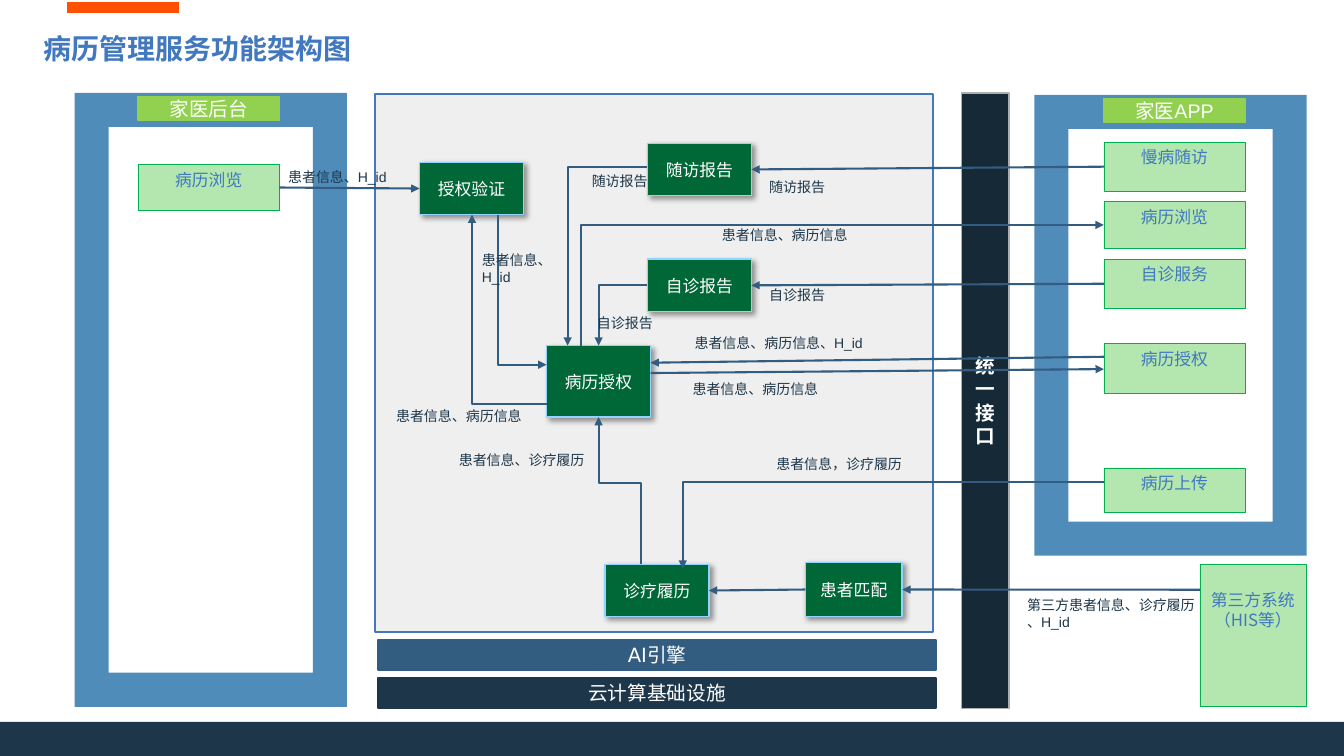
from lxml.etree import SubElement
from pptx import Presentation
from pptx.dml.color import RGBColor as Rgb
from pptx.enum.shapes import MSO_CONNECTOR as Link, MSO_SHAPE as Form
from pptx.enum.text import MSO_ANCHOR as Anchor, MSO_AUTO_SIZE as Auto, PP_ALIGN as Align
from pptx.oxml import parse_xml
from pptx.oxml.ns import nsdecls, qn
from pptx.util import Cm, Pt

HUE = {"blue": "4178BE", "navy": "1D3649", "ink": "162937", "steel": "325C80",
       "panel": "508CB9", "lime": "92D050", "mint": "B4E6B0", "leaf": "00B050",
       "forest": "006837", "sky": "93D4FF", "pale": "EFEFEF", "grey": "AEAEAE",
       "orange": "FF5004", "white": "FFFFFF"}
SANS, CJK = "DejaVu Sans", "Noto Sans CJK SC"
CORE = (9.45, 2.36, 14.05, 13.56)


def hue(name):
    return Rgb.from_string(HUE[name])


def write(frame, text, size, tint, font="Arial", bold=False, align=Align.CENTER):
    frame.text = text
    frame.word_wrap = True
    for para in frame.paragraphs:
        para.alignment = align
        for run in para.runs:
            face = run.font
            face.name, face.size, face.bold = font, Pt(size), bold
            face.color.rgb = hue(tint)


def block(slide, box, fill, edge=None, width=1, form=Form.RECTANGLE):
    shape = slide.shapes.add_shape(form, *map(Cm, box))
    shape.shadow.inherit = False
    shape.fill.solid()
    shape.fill.fore_color.rgb = hue(fill)
    if edge:
        shape.line.color.rgb = hue(edge)
        shape.line.width = Pt(width)
    else:
        shape.line.fill.background()
    return shape


def bar(slide, box, text, fill, edge, width, size=14, font=SANS, bold=False):
    shape = block(slide, box, fill, edge, width)
    shape.text_frame.vertical_anchor = Anchor.MIDDLE
    write(shape.text_frame, text, size, "white", font, bold)
    return shape


def service(slide, box, text, font=CJK):
    shape = block(slide, box, "mint", "leaf", 0.25)
    shape.text_frame.vertical_anchor = Anchor.TOP
    write(shape.text_frame, text, 12, "blue", font)
    return shape


def node(slide, box, text):
    """Dark green module with a soft shadow."""
    shape = bar(slide, box, text, "forest", "sky", 1, 12, "Arial")
    props = shape._element.spPr
    props.remove(props.find(qn("a:effectLst")))
    props.append(parse_xml(
        f'<a:effectLst {nsdecls("a")}><a:outerShdw blurRad="50800" dist="38100" '
        'dir="2700000" algn="tl" rotWithShape="0"><a:srgbClr val="000000">'
        '<a:alpha val="40000"/></a:srgbClr></a:outerShdw></a:effectLst>'))
    return shape


def label(slide, box, text):
    area = slide.shapes.add_textbox(*map(Cm, box))
    frame = area.text_frame
    frame.margin_left = frame.margin_right = frame.margin_top = frame.margin_bottom = 0
    write(frame, text, 10, "navy", align=Align.LEFT)
    frame.auto_size = Auto.SHAPE_TO_FIT_TEXT


def line(slide, kind, start, end, tint="steel", width=1.5, arrow=True):
    con = slide.shapes.add_connector(kind, *map(Cm, start + end))
    con.line.color.rgb = hue(tint)
    con.line.width = Pt(width)
    if arrow:
        SubElement(con.line._get_or_add_ln(), qn("a:tailEnd"), type="triangle")
    SubElement(con._element.spPr, qn("a:effectLst"))
    return con


def elbow(slide, start, end, upright, bend=0):
    """Bent arrow; an upright one arrives vertically, bend is where it turns."""
    con = line(slide, Link.ELBOW, start, end)
    props = con._element.spPr
    guides = props.find(qn("a:prstGeom")).get_or_add_avLst()
    SubElement(guides, qn("a:gd"), name="adj1", fmla=f"val {round(bend * 100000)}")
    if not upright:
        return
    (x1, y1), (x2, y2) = start, end
    wide, high = abs(y2 - y1), abs(x2 - x1)
    con.left, con.top = Cm((x1 + x2 - wide) / 2), Cm((y1 + y2 - high) / 2)
    con.width, con.height = Cm(wide), Cm(high)
    down = y2 > y1
    frame = props.get_or_add_xfrm()
    frame.set("rot", "5400000" if down else "16200000")
    frame.set("flipH", "0")
    frame.set("flipV", "1" if down == (x2 > x1) else "0")


def header(slide, box):
    line(slide, Link.STRAIGHT, (1.68, 0.18), (4.5, 0.18), "orange", 8, False)
    title = slide.shapes.title
    title.left, title.top, title.width, title.height = map(Cm, box)
    frame = title.text_frame
    frame.margin_left = frame.margin_right = frame.margin_top = frame.margin_bottom = 0
    frame.vertical_anchor = Anchor.MIDDLE
    write(frame, "病历管理服务功能架构图", 20, "blue", bold=True, align=Align.LEFT)
    frame.paragraphs[0].line_spacing = Pt(27.6)


def panel(slide, box, inset, title, items):
    """Blue frame with a heading and services given as (name, offset, height, font)."""
    x, y = box[:2]
    block(slide, box, "panel", form=Form.FRAME)
    bar(slide, (x + inset, y + 0.1, 3.56, 0.6), title, "lime", "lime", 1, font="Arial")
    return {name: service(slide, (x + inset, y + drop, 3.56, high), name, font)
            for name, drop, high, font in items}


def core(slide, box):
    x, y = box[:2]
    block(slide, box, "pale", "blue", 1.5)
    parts = [("授权验证", 1.12, 1.73, 2.62, 1.32), ("随访报告", 6.86, 1.25, 2.62, 1.32),
             ("自诊报告", 6.86, 4.17, 2.62, 1.32), ("病历授权", 4.32, 6.35, 2.62, 1.8),
             ("诊疗履历", 5.79, 11.86, 2.62, 1.32), ("患者匹配", 10.84, 11.81, 2.44, 1.37)]
    return {name: node(slide, (x + dx, y + dy, w, h), name)
            for name, dx, dy, w, h in parts}


def base(slide, box):
    x, y, w, h = box
    for i, (text, fill) in enumerate([("AI引擎", "steel"), ("云计算基础设施", "navy")]):
        bar(slide, (x, y + i * (h + 0.21), w, h), text, fill, fill, 1.5)


def third(slide, box):
    shape = service(slide, box, "第三方系统\n（HIS等）")
    shape.text_frame.margin_top = Cm(0.64)


def flows(slide, box, nodes, back, app):
    x, y = box[:2]

    def at(dx, dy):
        return x + dx, y + dy

    for start, end in [(back["病历浏览"], nodes["授权验证"]),
                       (app["慢病随访"], nodes["随访报告"]),
                       (app["自诊服务"], nodes["自诊报告"]),
                       (nodes["患者匹配"], nodes["诊疗履历"])]:
        right = start.left < end.left
        con = line(slide, Link.STRAIGHT, at(0, 0), at(1, 1))
        con.begin_connect(start, 3 if right else 1)
        con.end_connect(end, 1 if right else 3)
    con = line(slide, Link.STRAIGHT, at(20.78, 12.5), at(13.28, 12.5))
    con.end_connect(nodes["患者匹配"], 3)
    for start, end in [((18.36, 6.63), (6.94, 6.78)), ((6.94, 7.04), (18.36, 6.94))]:
        line(slide, Link.STRAIGHT, at(*start), at(*end))

    for start, end, upright, bend in [
            ((6.86, 4.83), (5.63, 6.35), True, 0),
            ((6.86, 1.85), (4.85, 6.35), True, 0),
            ((18.36, 9.78), (7.75, 11.97), True, 0),
            ((4.32, 7.83), (2.44, 3.05), True, 0),
            ((6.7, 11.86), (5.63, 8.15), True, 0.55),
            ((3.1, 3.05), (4.32, 6.83), False, 0),
            ((5.18, 6.35), (18.36, 3.31), False, 0)]:
        elbow(slide, at(*start), at(*end), upright, bend)

    for text, dx, dy, w in [
            ("患者信息、H_id", -2.19, 1.88, 4.55), ("随访报告", 5.46, 1.98, 6.91),
            ("随访报告", 9.93, 2.14, 6.91), ("患者信息、病历信息", 8.74, 3.36, 4.06),
            ("患者信息、\nH_id", 2.69, 3.99, 1.8), ("自诊报告", 9.93, 4.85, 2),
            ("自诊报告", 5.59, 5.56, 1.85), ("患者信息、病历信息、H_id", 8.05, 6.07, 6.91),
            ("患者信息、病历信息", 8, 7.24, 4.06), ("患者信息、病历信息", 0.53, 7.9, 4.06),
            ("患者信息、诊疗履历", 2.11, 9.02, 4.04), ("患者信息，诊疗履历", 10.11, 9.12, 4.55),
            ("第三方患者信息、诊疗履历\n、H_id", 16.43, 12.68, 4.55)]:
        rows = text.count("\n") + 1
        label(slide, (*at(dx, dy), w, 0.43 * rows), text)


def main():
    deck = Presentation()
    deck.slide_width, deck.slide_height = Cm(33.86), Cm(19.05)
    slide = deck.slides.add_slide(deck.slide_layouts[5])
    header(slide, (1.09, 0.58, 28.22, 1.14))
    block(slide, (0, 18.19, 33.86, 0.86), "navy")
    nodes = core(slide, CORE)
    bar(slide, (24.23, 2.34, 1.19, 15.52), "统一接口", "ink", "grey", 1, bold=True)
    app = panel(slide, (26.06, 2.39, 6.86, 11.61), 1.75, "家医APP", [
        ("慢病随访", 1.19, 1.24, CJK), ("病历浏览", 2.69, 1.17, SANS),
        ("自诊服务", 4.14, 1.24, CJK), ("病历授权", 6.27, 1.24, CJK),
        ("病历上传", 9.4, 1.12, CJK)])
    back = panel(slide, (1.88, 2.34, 6.86, 15.47), 1.6, "家医后台",
                 [("病历浏览", 1.8, 1.17, SANS)])
    base(slide, (9.53, 16.13, 14.05, 0.75))
    third(slide, (30.23, 14.22, 2.67, 3.58))
    flows(slide, CORE, nodes, back, app)
    deck.save("out.pptx")


if __name__ == "__main__":
    main()
